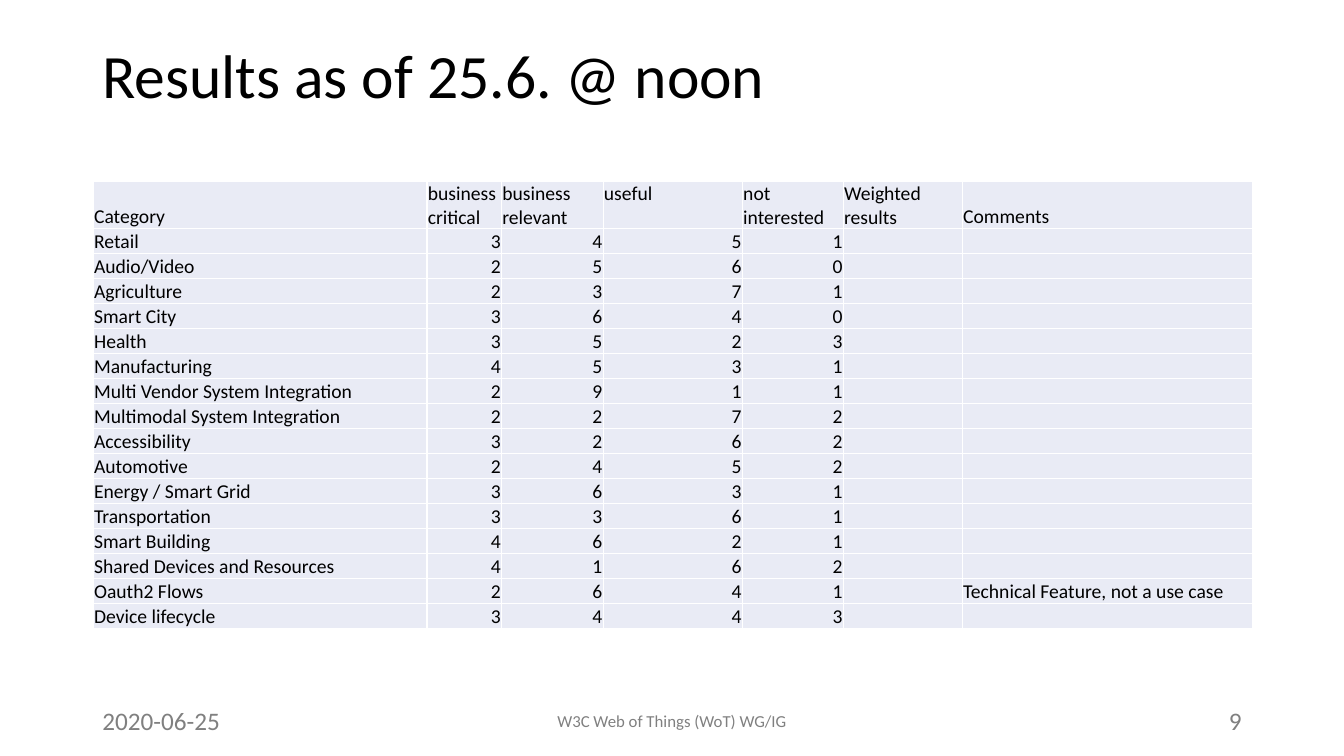
from lxml.etree import SubElement
from pptx import Presentation
from pptx.dml.color import RGBColor
from pptx.enum.text import MSO_ANCHOR, PP_ALIGN
from pptx.oxml.ns import qn
from pptx.util import Cm, Pt

COLORS = {"text": "000000", "footer": "808080", "cell": "E9EBF5", "border": "FFFFFF"}
FONT = "Calibri"
TABLE_SIZE = 14
HEADER_HEIGHT, ROW_HEIGHT = 1.2, 0.63
COLUMN_WIDTHS = [8.41, 1.88, 2.56, 3.51, 2.54, 3.0, 7.31]
CELL_MARGINS = {"margin_left": 0.02, "margin_right": 0.02, "margin_top": 0.02, "margin_bottom": 0}

HEADERS = ["Category", "business critical", "business relevant", "useful",
           "not interested", "Weighted results", "Comments"]
VOTES = [
    ("Retail", 3, 4, 5, 1),
    ("Audio/Video", 2, 5, 6, 0),
    ("Agriculture", 2, 3, 7, 1),
    ("Smart City", 3, 6, 4, 0),
    ("Health", 3, 5, 2, 3),
    ("Manufacturing", 4, 5, 3, 1),
    ("Multi Vendor System Integration", 2, 9, 1, 1),
    ("Multimodal System Integration", 2, 2, 7, 2),
    ("Accessibility", 3, 2, 6, 2),
    ("Automotive", 2, 4, 5, 2),
    ("Energy / Smart Grid", 3, 6, 3, 1),
    ("Transportation", 3, 3, 6, 1),
    ("Smart Building", 4, 6, 2, 1),
    ("Shared Devices and Resources", 4, 1, 6, 2),
    ("Oauth2 Flows", 2, 6, 4, 1),
    ("Device lifecycle", 3, 4, 4, 3),
]
COMMENTS = {"Oauth2 Flows": "Technical Feature, not a use case"}


def write_text(paragraph, text, size, color, **paragraph_format):
    """Add one formatted run to a paragraph."""
    for name, value in paragraph_format.items():
        setattr(paragraph, name, value)
    run = paragraph.add_run()
    run.text = text
    for name, value in {"name": FONT, "size": Pt(size)}.items():
        setattr(run.font, name, value)
    run.font.color.rgb = RGBColor.from_string(COLORS[color])


def add_text(slide, box, text, size, color, anchor=MSO_ANCHOR.TOP, **paragraph_format):
    """Add a wrapped text box with a single paragraph."""
    frame = slide.shapes.add_textbox(*map(Cm, box)).text_frame
    for name, value in {"word_wrap": True, "vertical_anchor": anchor}.items():
        setattr(frame, name, value)
    write_text(frame.paragraphs[0], text, size, color, **paragraph_format)


def add_borders(cell):
    """Draw a thin line on all four sides of a cell."""
    properties = cell._tc.get_or_add_tcPr()
    for side in ("a:lnL", "a:lnR", "a:lnT", "a:lnB"):
        line = SubElement(properties, qn(side), w=str(Pt(1)))
        fill = SubElement(line, qn("a:solidFill"))
        SubElement(fill, qn("a:srgbClr"), val=COLORS["border"])


def fill_cell(cell, value, anchor):
    """Format a cell and write its value, with numbers to the right."""
    for name, margin in CELL_MARGINS.items():
        setattr(cell, name, Cm(margin))
    cell.vertical_anchor = anchor
    add_borders(cell)
    cell.fill.solid()
    cell.fill.fore_color.rgb = RGBColor.from_string(COLORS["cell"])
    paragraph = cell.text_frame.paragraphs[0]
    if value == "":
        SubElement(paragraph._p, qn("a:endParaRPr"), sz=str(TABLE_SIZE * 100))
    else:
        alignment = PP_ALIGN.RIGHT if isinstance(value, int) else PP_ALIGN.LEFT
        write_text(paragraph, str(value), TABLE_SIZE, "text", alignment=alignment)


def add_results_table(slide, left, top):
    """Add the table of votes per category."""
    rows = [HEADERS] + [[*vote, "", COMMENTS.get(vote[0], "")] for vote in VOTES]
    heights = [HEADER_HEIGHT] + [ROW_HEIGHT] * len(VOTES)
    box = (left, top, sum(COLUMN_WIDTHS), sum(heights))
    table = slide.shapes.add_table(len(rows), len(HEADERS), *map(Cm, box)).table
    for name in ("first_row", "horz_banding"):
        setattr(table, name, False)
    for column, width in zip(table.columns, COLUMN_WIDTHS):
        column.width = Cm(width)
    for row, height, values in zip(table.rows, heights, rows):
        row.height = Cm(height)
        for index, (cell, value) in enumerate(zip(row.cells, values)):
            outer = index in (0, len(HEADERS) - 1)
            fill_cell(cell, value, MSO_ANCHOR.BOTTOM if outer else MSO_ANCHOR.TOP)


def main():
    """Build the results slide and save it."""
    presentation = Presentation()
    presentation.slide_width, presentation.slide_height = Cm(33.87), Cm(19.05)
    slide = presentation.slides.add_slide(presentation.slide_layouts[6])
    add_text(slide, (2.33, 1.01, 29.21, 3.68), "Results as of 25.6. @ noon", 44, "text",
             line_spacing=0.9)
    add_results_table(slide, 2.35, 4.56)
    add_text(slide, (11.22, 17.66, 11.43, 1.01), "W3C Web of Things (WoT) WG/IG", 12, "footer",
             MSO_ANCHOR.MIDDLE, alignment=PP_ALIGN.CENTER)
    add_text(slide, (23.92, 17.66, 7.62, 1.01), "9", 18, "footer", alignment=PP_ALIGN.RIGHT)
    add_text(slide, (2.33, 17.66, 7.62, 1.01), "2020-06-25", 18, "footer")
    presentation.save("out.pptx")


if __name__ == "__main__":
    main()
